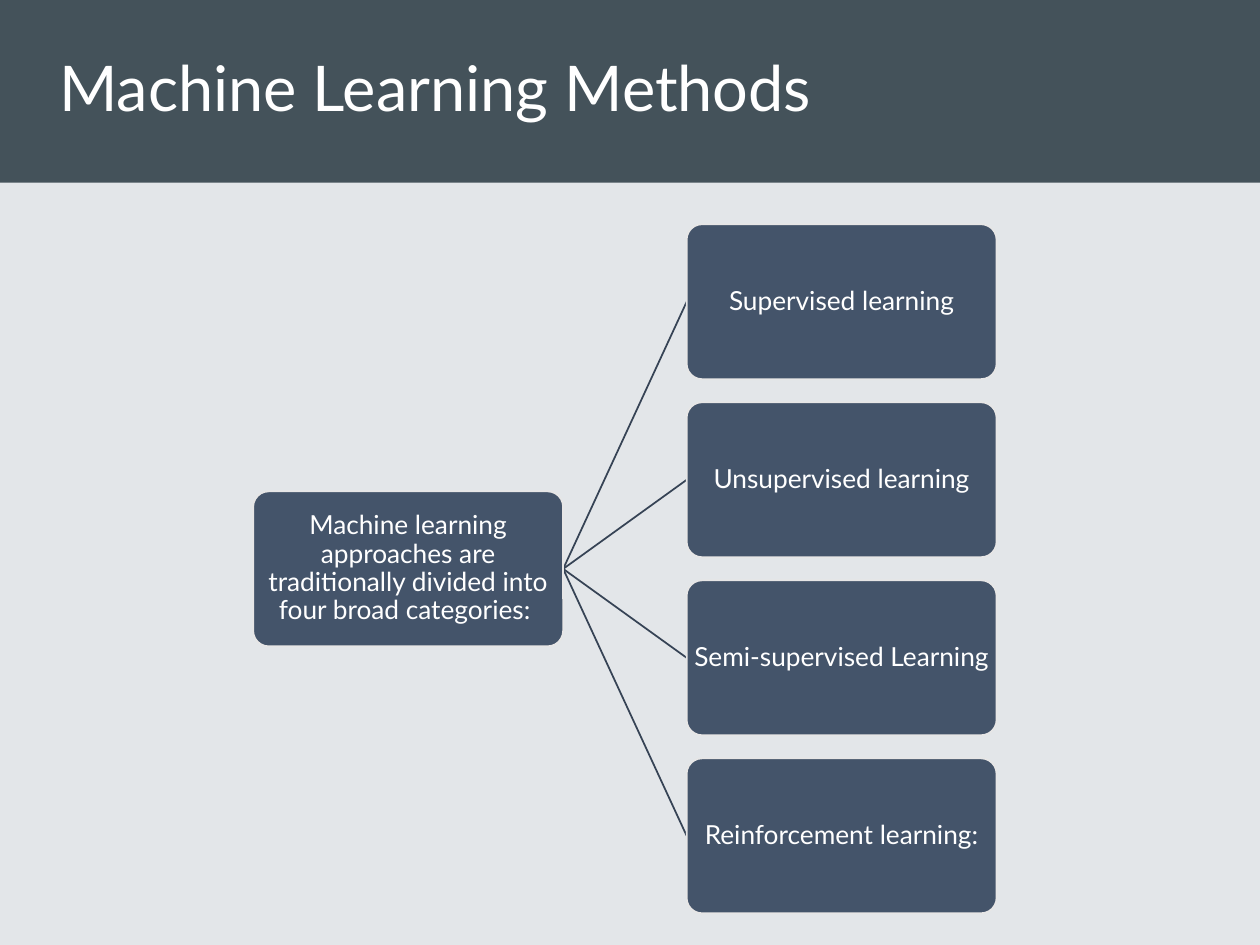
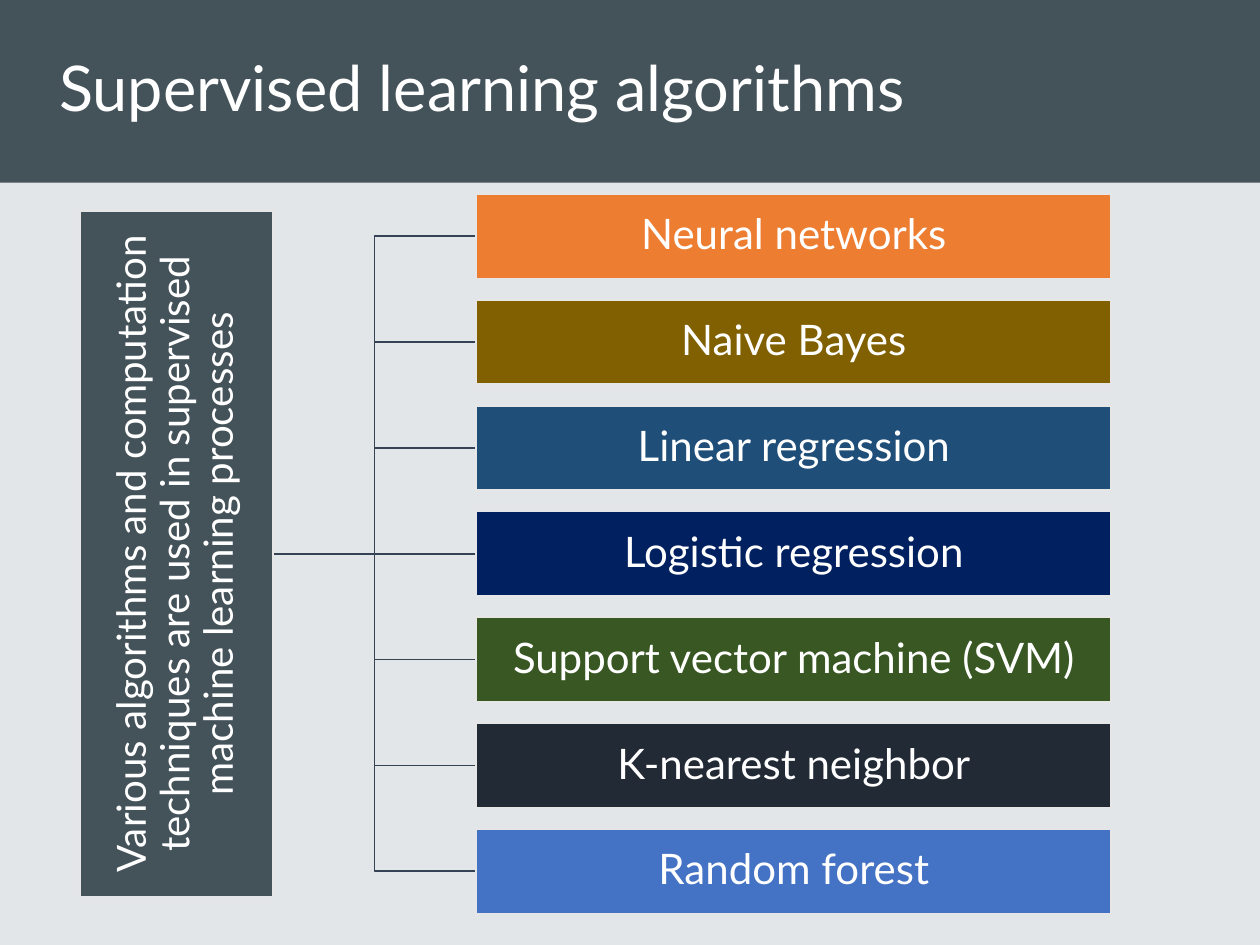
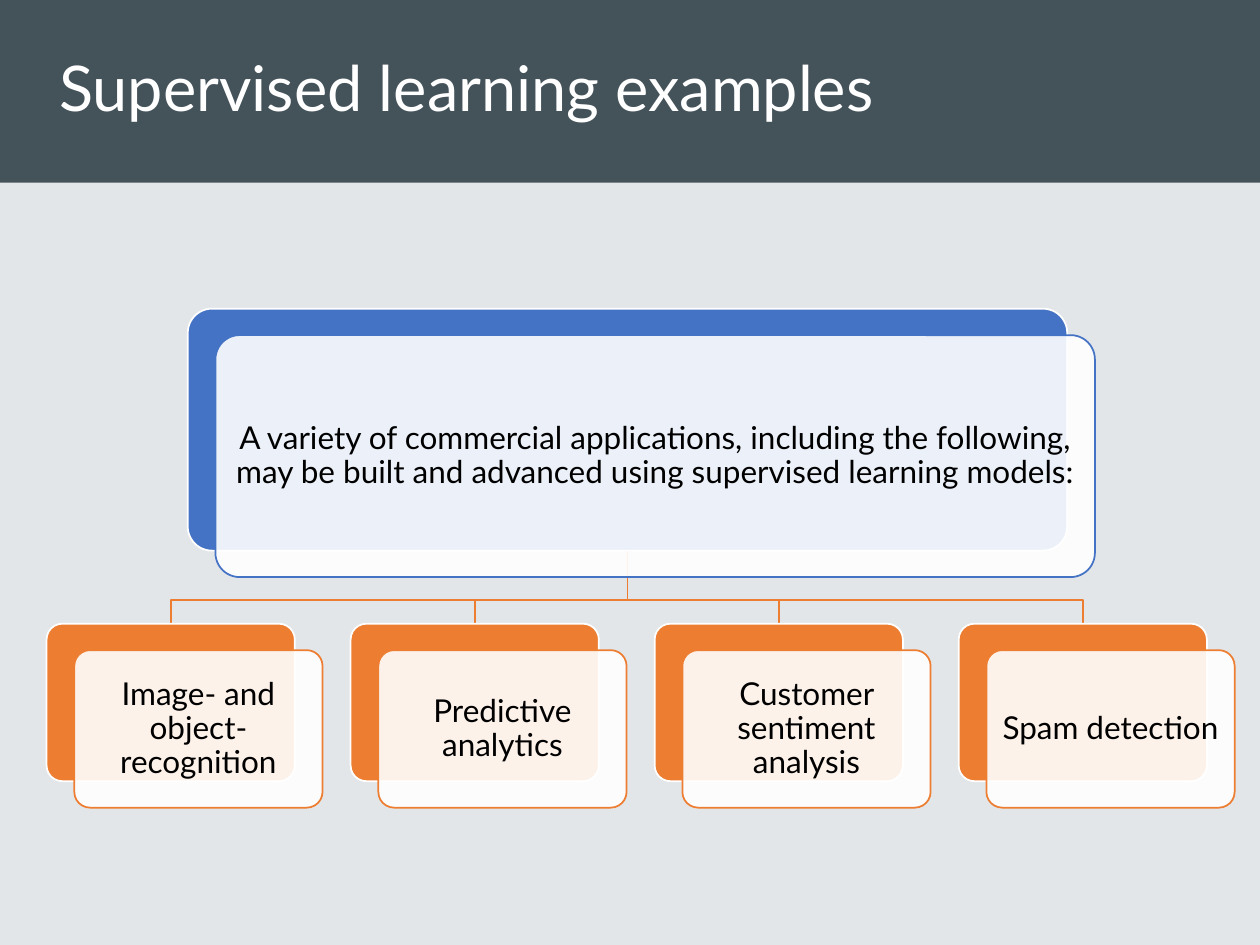
from dataclasses import dataclass, replace
from typing import Any

from lxml import etree
from pptx import Presentation
from pptx.dml.color import RGBColor
from pptx.enum.shapes import MSO_CONNECTOR, MSO_SHAPE
from pptx.enum.text import MSO_ANCHOR, MSO_AUTO_SIZE, PP_ALIGN
from pptx.oxml.ns import qn
from pptx.util import Inches, Pt

RECT, ROUND = MSO_SHAPE.RECTANGLE, MSO_SHAPE.ROUNDED_RECTANGLE
LINE = MSO_CONNECTOR.STRAIGHT
MIDDLE = MSO_ANCHOR.MIDDLE
LEFT, CENTER = PP_ALIGN.LEFT, PP_ALIGN.CENTER
FIXED = MSO_AUTO_SIZE.NONE

FONT = "Lato"
WHITE, BLACK, PAPER = "FFFFFF", "000000", "E3E6E9"
SLATE, NAVY, INK = "44525A", "44546A", "364355"
EDGE, ORANGE, BLUE = "E7E6E6", "ED7D31", "4472C4"

METHODS = [
    "Supervised learning",
    "Unsupervised learning",
    "Semi-supervised Learning",
    "Reinforcement learning:",
]
ROWS = [
    ("Neural networks", ORANGE),
    ("Naive Bayes", "806000"),
    ("Linear regression", "1F4E79"),
    ("Logistic regression", "002060"),
    ("Support vector machine (SVM)", "385723"),
    ("K-nearest neighbor", "222A35"),
    ("Random forest", BLUE),
]
USES = [
    "Image- and object-recognition",
    "Predictive analytics",
    "Customer sentiment analysis",
    "Spam detection",
]


@dataclass(frozen=True)
class Box:
    x: float
    y: float
    w: float
    h: float
    fill: str
    edge: str = EDGE
    text: str = ""
    size: int = 18
    ink: str = WHITE
    pad: float = 0.02
    form: Any = ROUND
    turn: int = 0
    alpha: int = 100

    @property
    def midx(self) -> float:
        return self.x + self.w / 2

    @property
    def midy(self) -> float:
        return self.y + self.h / 2


def tint(hue: str) -> RGBColor:
    return RGBColor.from_string(hue)


def apply(item: Any, form: dict[str, Any]) -> None:
    for key, value in form.items():
        setattr(item, key, value)


def write(frame: Any, text: str, size: int, ink: str, align: Any) -> None:
    apply(frame, {"text": text, "word_wrap": True, "auto_size": FIXED, "vertical_anchor": MIDDLE})
    para = frame.paragraphs[0]
    apply(para, {"alignment": align, "line_spacing": 0.9})
    font = para.runs[0].font
    apply(font, {"name": FONT, "size": Pt(size)})
    font.color.rgb = tint(ink)


def draw(slide: Any, box: Box) -> Any:
    spot = [Inches(n) for n in (box.x, box.y, box.w, box.h)]
    shape = slide.shapes.add_shape(box.form, *spot)
    apply(shape, {"rotation": box.turn})
    shape.shadow.inherit = False
    shape.fill.solid()
    shape.fill.fore_color.rgb = tint(box.fill)
    if box.alpha < 100:
        color = shape.fill._xPr.find(qn("a:solidFill"))[0]
        etree.SubElement(color, qn("a:alpha"), val=str(box.alpha * 1000))
    shape.line.color.rgb = tint(box.edge)
    shape.line.width = Pt(1)
    if box.form == ROUND:
        shape.adjustments[0] = 0.1
    if box.text:
        sides = ("left", "top", "right", "bottom")
        apply(shape.text_frame, {f"margin_{side}": Inches(box.pad) for side in sides})
        write(shape.text_frame, box.text, box.size, box.ink, CENTER)
    return shape


def sink(shape: Any) -> None:
    shape._element.getparent().insert(2, shape._element)


def join(slide: Any, head: Any, exit: int, tail: Any) -> Any:
    link = slide.shapes.add_connector(LINE, 0, 0, 0, 0)
    link.begin_connect(head, exit)
    link.end_connect(tail, 1)
    link.line.color.rgb = tint(INK)
    link.line.width = Pt(1)
    etree.SubElement(link._element.spPr, qn("a:effectLst"))
    sink(link)
    return link


def bend(slide: Any, dots: list[tuple[float, float]], hue: str) -> None:
    spots = [(Inches(x), Inches(y)) for x, y in dots]
    pen = slide.shapes.build_freeform(*spots[0])
    pen.add_line_segments(spots[1:], close=False)
    wire = pen.convert_to_shape()
    wire.shadow.inherit = False
    wire.fill.background()
    wire.line.color.rgb = tint(hue)
    wire.line.width = Pt(1)
    sink(wire)


def start(deck: Any, title: str) -> Any:
    slide = deck.slides.add_slide(deck.slide_layouts[5])
    head = slide.shapes.title
    apply(head, {"left": Inches(0.37), "top": 0, "width": Inches(9.17), "height": Inches(1.45)})
    write(head.text_frame, title, 36, WHITE, LEFT)
    return slide


def brand(deck: Any, slide: Any) -> None:
    back = deck.slide_master.background.fill
    back.solid()
    back.fore_color.rgb = tint(PAPER)
    band = draw(slide, Box(0, 0, 10, 1.45, SLATE, form=RECT))
    band.line.fill.background()
    deck.slide_layouts[5].shapes._spTree.insert(2, band._element)


def methods(slide: Any) -> None:
    text = "Machine learning approaches are traditionally divided into four broad categories: "
    base = Box(2.01, 3.9, 2.46, 1.23, NAVY, text=text, size=15, pad=0.01)
    root = draw(slide, base)
    for i, name in enumerate(METHODS):
        leaf = draw(slide, replace(base, x=5.45, y=1.78 + 1.413 * i, text=name))
        join(slide, root, 3, leaf)


def models(slide: Any) -> None:
    text = (
        "Various algorithms and computation techniques are used in "
        "supervised machine learning processes"
    )
    base = Box(-1.32, 3.63, 5.44, 1.53, SLATE, text=text, size=23, form=RECT, turn=270)
    root = draw(slide, base)
    side = base.midx + base.h / 2
    for i, (name, hue) in enumerate(ROWS):
        row = Box(3.78, 1.54 + 0.84 * i, 5.04, 0.67, hue, text=name, size=24, form=RECT)
        leaf = draw(slide, row)
        if abs(row.midy - base.midy) < 0.01:
            link = join(slide, root, 2, leaf)
            apply(link, {"begin_x": Inches(side), "begin_y": Inches(base.midy)})
        else:
            turn = (side + row.x) / 2
            dots = [(side, base.midy), (turn, base.midy), (turn, row.midy), (row.x, row.midy)]
            bend(slide, dots, INK)


def card(slide: Any, box: Box, text: str) -> None:
    draw(slide, box)
    front = replace(
        box, x=box.x + 0.22, y=box.y + 0.21, fill=WHITE, edge=box.fill,
        text=text, ink=BLACK, pad=0.07, alpha=90,
    )
    draw(slide, front)


def uses(slide: Any) -> None:
    text = (
        "A variety of commercial applications, including the following, "
        "may be built and advanced using supervised learning models:"
    )
    root = Box(1.49, 2.45, 6.98, 1.92, BLUE, WHITE)
    card(slide, root, text)
    foot, turn = root.y + root.h, 4.76
    for i, name in enumerate(USES):
        leaf = Box(0.37 + 2.413 * i, 4.95, 1.97, 1.25, ORANGE, WHITE)
        card(slide, leaf, name)
        dots = [(root.midx, foot), (root.midx, turn), (leaf.midx, turn), (leaf.midx, leaf.y)]
        bend(slide, dots, ORANGE)


def main() -> None:
    deck = Presentation()
    apply(deck, {"slide_width": Inches(10), "slide_height": Inches(7.5)})
    first = start(deck, "Machine Learning Methods")
    brand(deck, first)
    methods(first)
    models(start(deck, "Supervised learning algorithms"))
    uses(start(deck, "Supervised learning examples"))
    deck.save("out.pptx")


if __name__ == "__main__":
    main()
